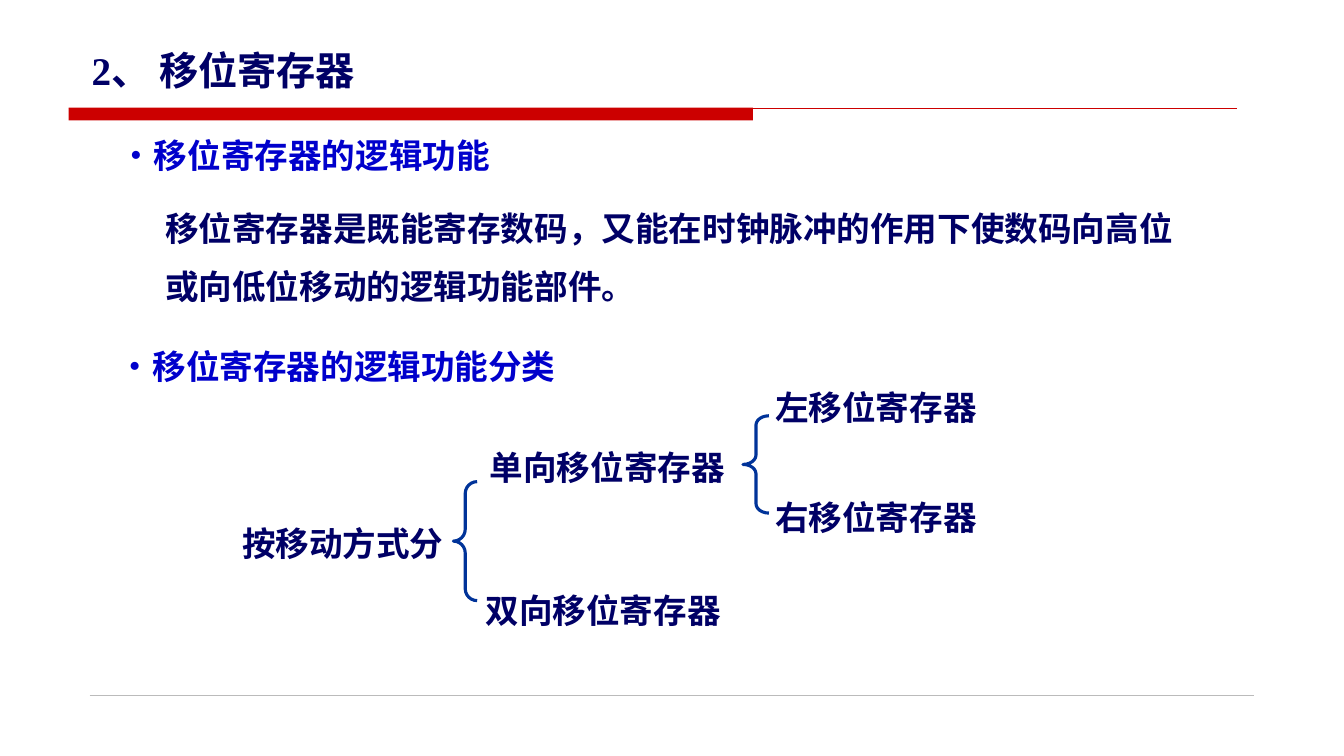
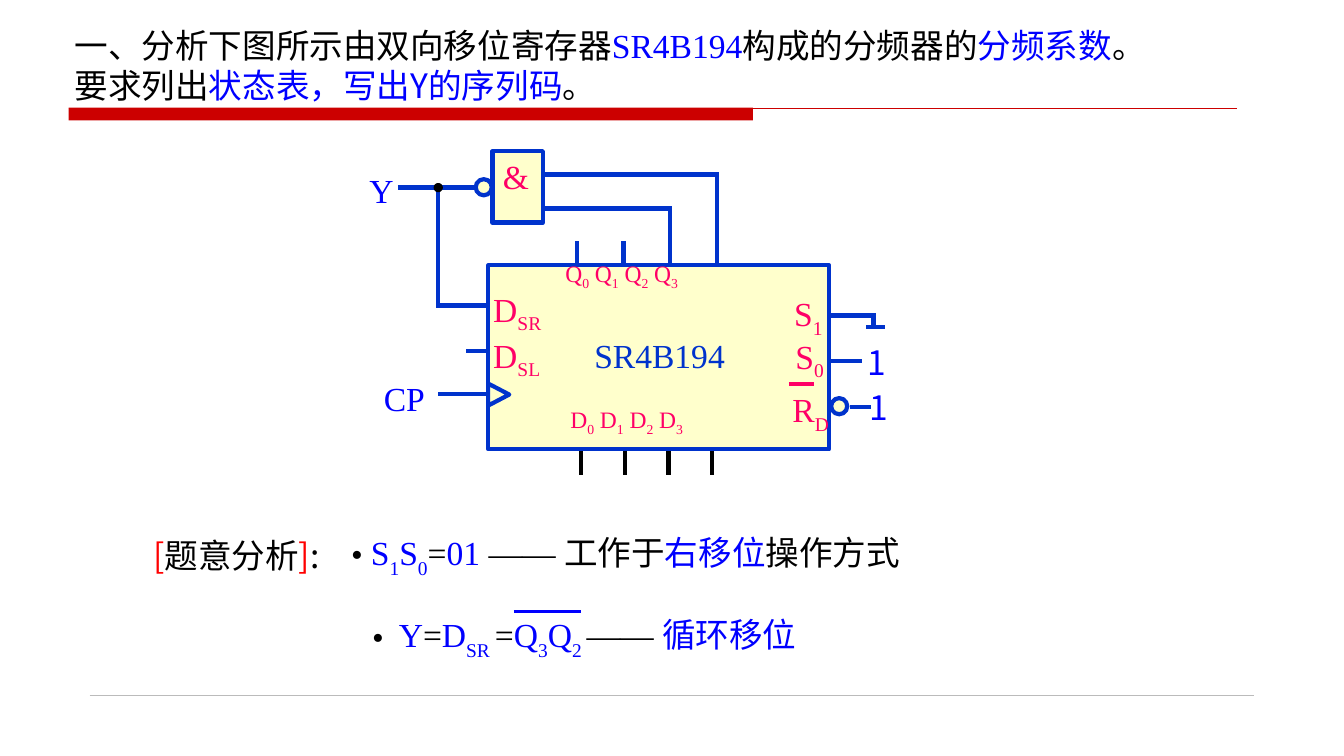
from lxml import etree
from pptx import Presentation
from pptx.dml.color import RGBColor
from pptx.enum.shapes import MSO_CONNECTOR, MSO_SHAPE
from pptx.enum.text import PP_ALIGN
from pptx.oxml.ns import qn
from pptx.util import Pt

LINE = MSO_CONNECTOR.STRAIGHT
RECT, OVAL = MSO_SHAPE.RECTANGLE, MSO_SHAPE.OVAL
BRACE, TRIANGLE = MSO_SHAPE.LEFT_BRACE, MSO_SHAPE.FLOWCHART_EXTRACT
LEFT, CENTER = PP_ALIGN.LEFT, PP_ALIGN.CENTER
SANS, SERIF = "Noto Sans CJK SC", "Times New Roman"
RED, GREY, BLACK = "CC0000", "BBBBBB", "000000"
NAVY, HEADING, BRACE_BLUE = "000066", "0000CC", "003399"
BLUE, WIRE, PINK, CREAM = "0000FF", "0033CC", "FF0066", "FFFFCC"
BRACKET = "FF0000"
BOLD = dict(size=24, name=SANS, bold=True, color=NAVY)
PLAIN = dict(size=24, name=SANS, bold=False, color=BLACK)
LATIN = {**PLAIN, "name": SERIF}
PIN = {**LATIN, "color": PINK}
SIGNAL = {**LATIN, "color": BLUE}
ROW = 29


def rgb(value):
    """Turn a hex string into a colour."""
    return RGBColor.from_string(value)


def line(s, x1, y1, x2, y2, color=WIRE, width=3):
    """Draw a straight line between two points."""
    c = s.shapes.add_connector(LINE, Pt(x1), Pt(y1), Pt(x2), Pt(y2))
    c.line.color.rgb = rgb(color)
    c.line.width = Pt(width)
    etree.SubElement(c._element.spPr, qn("a:effectLst"))


def shape(s, kind, x, y, w, h, fill=CREAM, color=WIRE, width=3):
    """Draw a preset shape; None leaves out its fill or line."""
    sp = s.shapes.add_shape(kind, Pt(x), Pt(y), Pt(w), Pt(h))
    sp.shadow.inherit = False
    if fill:
        sp.fill.solid()
        sp.fill.fore_color.rgb = rgb(fill)
    else:
        sp.fill.background()
    if color:
        sp.line.color.rgb = rgb(color)
        sp.line.width = Pt(width)
    else:
        sp.line.fill.background()
    return sp


def set_bullet(p, color, indent):
    """Give a paragraph a hanging round bullet."""
    pPr = p._p.get_or_add_pPr()
    pPr.set("marL", str(Pt(indent)))
    pPr.set("indent", str(-Pt(indent)))
    clr = etree.SubElement(pPr, qn("a:buClr"))
    etree.SubElement(clr, qn("a:srgbClr")).set("val", color)
    etree.SubElement(pPr, qn("a:buFont")).set("typeface", SERIF)
    etree.SubElement(pPr, qn("a:buChar")).set("char", "•")


def add_run(p, text, fmt):
    """Add one run, formatted from a dict."""
    r = p.add_run()
    r.text = text
    values = {**fmt, "size": Pt(fmt["size"])}
    for key in ("size", "bold", "name"):
        setattr(r.font, key, values[key])
    r.font.color.rgb = rgb(fmt["color"])
    rPr = r._r.get_or_add_rPr()
    etree.SubElement(rPr, qn("a:ea")).set("typeface", fmt["name"])
    if "base" in fmt:
        rPr.set("baseline", str(fmt["base"] * 1000))


def label(s, x, y, w, paras, fmt, row=None, align=LEFT, bullet=None):
    """Place text without margins; each paragraph is a string or a list of runs."""
    paras = [paras] if isinstance(paras, str) else paras
    tf = s.shapes.add_textbox(Pt(x), Pt(y), Pt(w), Pt((row or ROW) * len(paras))).text_frame
    tf.word_wrap = True
    for side in ("left", "top", "right", "bottom"):
        setattr(tf, "margin_" + side, 0)
    for i, runs in enumerate(paras):
        p = tf.add_paragraph() if i else tf.paragraphs[0]
        p.alignment = align
        if row:
            p.line_spacing = Pt(row)
        if bullet:
            set_bullet(p, *bullet)
        for text, extra in [(runs, {})] if isinstance(runs, str) else runs:
            add_run(p, text, {**fmt, **extra})


def indexed(*pairs, base=-25):
    """Make runs of names, each followed by its subscript."""
    return [run for name, index in pairs for run in ((name, {}), (index, {"base": base}))]


def pin_row(letter):
    """Make the runs for four numbered pins."""
    return indexed(*((letter if i == 0 else " " + letter, str(i)) for i in range(4)))


def new_slide(prs):
    """Add a blank slide with the red title band and the footer rule."""
    s = prs.slides.add_slide(prs.slide_layouts[6])
    shape(s, RECT, 49, 77, 489, 9, RED, None)
    line(s, 49, 77.4, 884, 77.4, RED, 0.75)
    line(s, 64, 496.8, 896, 496.8, GREY, 0.25)
    return s


def brace(s, x, y, w, h, bend):
    """Draw a left brace with the given bend."""
    sp = shape(s, BRACE, x, y, w, h, None, BRACE_BLUE, 2.25)
    sp.adjustments[0] = bend


def shift_tree(s, x, y):
    """Draw the classification tree from its top left corner."""
    for dx, dy, text in ((0, 97, "按移动方式分"), (177, 43, "单向移位寄存器"),
                         (174, 145, "双向移位寄存器"), (381, 0, "左移位寄存器"),
                         (381, 78.5, "右移位寄存器")):
        label(s, x + dx, y + dy, 190, text, BOLD, ROW)
    brace(s, x + 151, y + 68, 17, 85, 0.5)
    brace(s, x + 358, y + 21, 18.5, 69.5, 0.36)


def circuit(s, x, y):
    """Draw the frequency divider from its top left corner."""
    shape(s, RECT, x + 85, y + 81.5, 243.5, 131.5)
    shape(s, TRIANGLE, x + 84.5, y + 166.3, 15.8, 15.1).rotation = 90
    shape(s, RECT, x + 88, y, 36, 51)
    for dx, dy in ((76, 20), (330, 176.4)):
        shape(s, OVAL, x + dx, y + dy, 11.5, 11.5)
    for i, top in enumerate((64.5, 64.5, 41, 16.6)):
        out, data = x + 148.2 + 33.4 * i, x + 151.3 + 31.2 * i
        line(s, out, y + top, out, y + 80)
        line(s, data, y + 214, data, y + 231, BLACK)
    wires = ((124, 16.6, 250, 16.6), (124, 41, 216.5, 41),
             (20.4, 26, 74.4, 26), (49.2, 26, 49.2, 111.7),
             (49.2, 110.2, 85, 110.2), (69.4, 142.6, 85, 142.6),
             (49.2, 173.5, 85, 173.5), (343.7, 183, 358.8, 183),
             (329, 150, 352.3, 150), (329, 117.4, 361.7, 117.4),
             (360.2, 117.4, 360.2, 125.3), (355.2, 125.3, 368.2, 125.3))
    for x1, y1, x2, y2 in wires:
        line(s, x + x1, y + y1, x + x2, y + y2)
    line(s, x + 299.8, y + 166.3, x + 317.8, y + 166.3, PINK)
    shape(s, OVAL, x + 47.4, y + 24.2, 3.6, 3.6, BLACK, BLACK)
    small = {**PIN, "size": 16.8}
    digit = {**PLAIN, "color": BLUE}
    texts = ((0, 13.6, "Y", SIGNAL), (10.3, 161.6, "CP", SIGNAL),
             (95.4, 3.6, "&", PIN), (160.7, 131, "SR4B194", {**PIN, "color": WIRE}),
             (88.5, 98, [indexed(("D", "SR"))], PIN),
             (88.5, 131, [indexed(("D", "SL"))], PIN),
             (303.5, 101.5, [indexed(("S", "1"))], PIN),
             (304.5, 131.6, [indexed(("S", "0"))], PIN),
             (302.3, 170, [indexed(("R", "D"))], PIN),
             (140, 77.2, [pin_row("Q")], small),
             (143.6, 181.6, [pin_row("D")], small))
    for dx, dy, text, fmt in texts:
        label(s, x + dx, y + dy, 120, text, fmt)
    for dx, dy in ((356, 135.7), (357.4, 168)):
        label(s, x + dx, y + dy, 20, "1", digit, ROW)


def analysis(s, x, y):
    """Write the analysis of the task from its top left corner."""
    blue, black, red = ({"color": c} for c in (BLUE, BLACK, BRACKET))
    sans = {"name": SANS}
    label(s, x, y, 150, [[("[", red), ("题意分析", {}), ("]", red), (":", {})]],
          PLAIN, ROW, CENTER)
    mode = indexed(("S", "1"), ("S", "0"), base=-30) + [
        ("=", black), ("01 ", {}), ("—— ", black), ("工作于", {**sans, **black}),
        ("右移位", sans), ("操作方式", {**sans, **black})]
    label(s, x + 157, y, 470, [mode], SIGNAL, 32, bullet=(BLACK, 14))
    feedback = [("Y", {}), ("=", black), *indexed(("D", "SR "), base=-30), ("=", black),
                *indexed(("Q", "3"), ("Q", "2 "), base=-30),
                ("—— ", black), ("循环移位", sans)]
    label(s, x + 172, y + 59, 400, [feedback], SIGNAL, 32, bullet=(BLACK, 19))
    line(s, x + 273.2, y + 55.3, x + 321.4, y + 55.3, BLUE, 2.25)


def register_slide(prs):
    """Build the slide on shift registers and their kinds."""
    s = new_slide(prs)
    title = [("2", {"name": SERIF}), ("、 移位寄存器", {})]
    label(s, 65.5, 32.5, 400, [title], {**BOLD, "size": 28}, 34)
    for x, y, text in ((93, 96.5, "移位寄存器的逻辑功能"),
                       (92, 247, "移位寄存器的逻辑功能分类")):
        label(s, x, y, 345, text, {**BOLD, "color": HEADING}, ROW, bullet=(HEADING, 17))
    label(s, 118, 135, 724, "移位寄存器是既能寄存数码，又能在时钟脉冲的作用下使数码"
          "向高位或向低位移动的逻辑功能部件。", BOLD, 42)
    shift_tree(s, 173, 276)


def divider_slide(prs):
    """Build the slide on the frequency divider exercise."""
    s = new_slide(prs)
    blue = {"color": BLUE}
    task = [[("一、分析下图所示由双向移位寄存器", {}), ("SR4B194", {**blue, "name": SERIF}),
             ("构成的分频器的", {}), ("分频系数", blue), ("。", {})],
            [("要求列出", {}), ("状态表，写出Y的序列码", blue), ("。", {})]]
    label(s, 53.3, 17.5, 840, task, PLAIN, ROW)
    circuit(s, 264, 108)
    analysis(s, 94, 381.7)


def main():
    """Build and save the presentation."""
    prs = Presentation()
    prs.slide_width, prs.slide_height = Pt(960.5), Pt(540)
    register_slide(prs)
    divider_slide(prs)
    prs.save("out.pptx")


if __name__ == "__main__":
    main()
